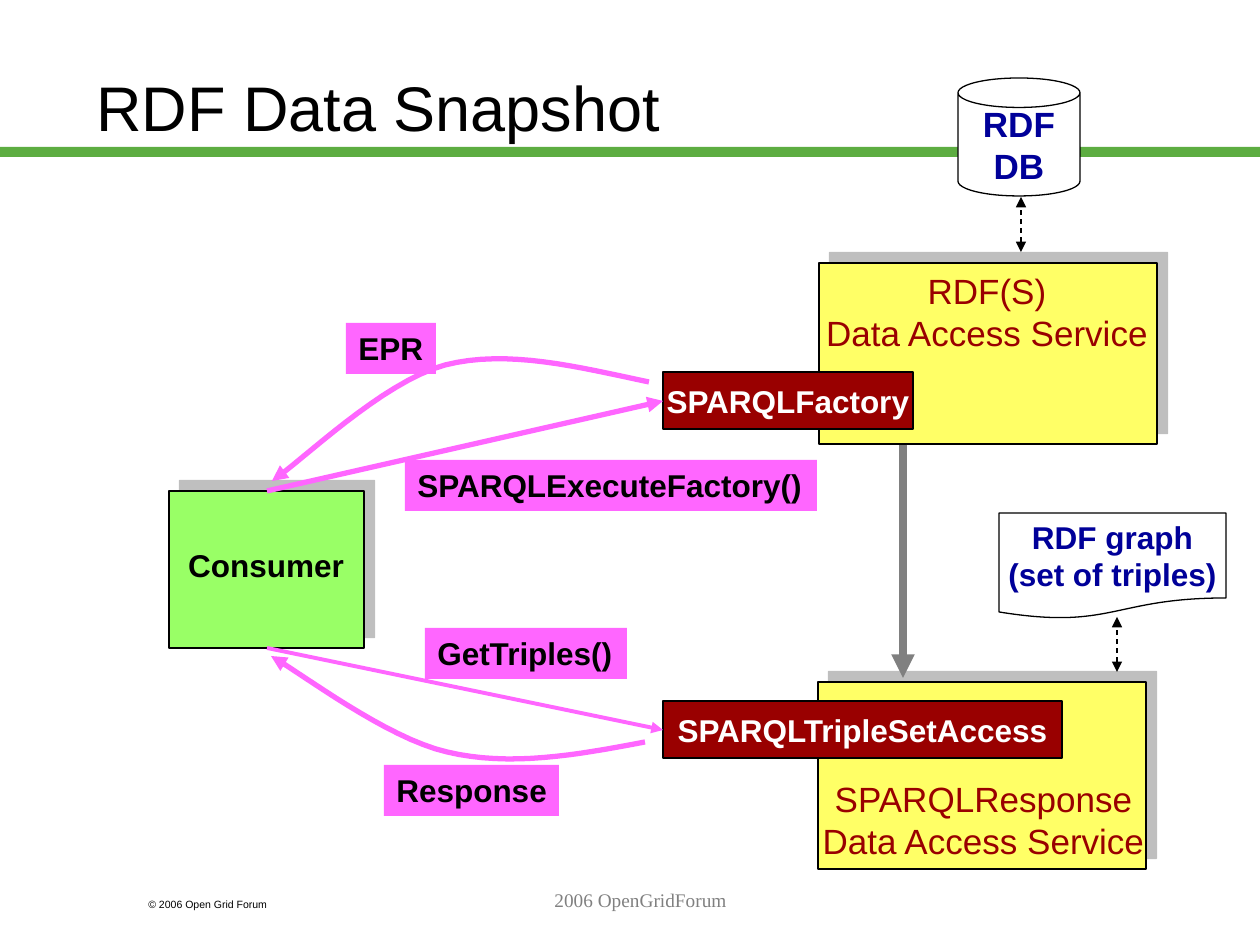
import pptx
import pptx.util
import pptx.dml.color
import pptx.enum.dml
import pptx.enum.shapes
import pptx.enum.text
import pptx.oxml
import pptx.oxml.ns

RGB = pptx.dml.color.RGBColor
KIND = pptx.enum.shapes.MSO_SHAPE
ALIGN = pptx.enum.text.PP_ALIGN
ANCHOR = pptx.enum.text.MSO_ANCHOR
DASH = pptx.enum.dml.MSO_LINE.DASH

BLACK, WHITE = RGB(0, 0, 0), RGB(255, 255, 255)
GREEN, LIME = RGB(0x5D, 0xAD, 0x41), RGB(0x99, 0xFF, 0x66)
PINK, GOLD = RGB(0xFF, 0x66, 0xFF), RGB(0xFF, 0xFF, 0x66)
RED, BLUE, GRAY = RGB(0x99, 0, 0), RGB(0, 0, 0x99), RGB(0x80, 0x80, 0x80)

PX = 914400 / 126  # EMU in one px
STEPS = 16  # straight pieces in each part of a curve

# Content: places are left, top, width, height in px
BAR = (0, 147, 1260, 10)
CARDS = [
    ((169, 491, 195, 157), LIME),
    ((819, 263, 338, 181), GOLD),
    ((818, 682, 328, 187), GOLD),
]
STORES = [
    (KIND.CAN, (958, 78, 122, 118), "RDF\nDB", 20),
    (KIND.FLOWCHART_DOCUMENT, (999, 513, 227, 106), "RDF graph\n(set of triples)", 18),
]
PORTS = [
    ((663, 372, 250, 57), "SPARQLFactory"),
    ((663, 701, 399, 57), "SPARQLTripleSetAccess"),
]
CALLS = [
    ((405, 460, 412, 51), "SPARQLExecuteFactory()"),
    ((425, 628, 202, 51), "GetTriples()"),
    ((346, 323, 90, 51), "EPR"),
    ((384, 765, 175, 51), "Response"),
]
NOTES = [
    ((84, 38, 645, 136), "RDF Data Snapshot",
     dict(size=36, align=ALIGN.LEFT, anchor=ANCHOR.MIDDLE)),
    ((174, 540, 184, 51), "Consumer", dict(size=18, bold=True)),
    ((810, 263, 354, 97), "RDF(S)\nData Access Service", dict(color=RED)),
    ((803, 771, 361, 97), "SPARQLResponse\nData Access Service", dict(color=RED)),
    ((136, 892, 189, 25), "© 2006 Open Grid Forum",
     dict(size=6, align=ALIGN.LEFT)),
    ((273, 882, 735, 63), "2006 OpenGridForum",
     dict(size=11, color=GRAY, font="Times New Roman")),
]
# Arrows: from, to, colour, width, both ends and dashed
LINES = [
    ((267, 491), (663, 401), PINK, 3, False),
    ((267, 648), (663, 730), PINK, 2.25, False),
    ((903, 445), (903, 678), GRAY, 4.5, False),
    ((1021, 252), (1021, 197), BLACK, 0.75, True),
    ((1117, 672), (1117, 617), BLACK, 0.75, True),
]
# Curves: a start, then two controls and an end for each part
CURVES = [
    [(649, 382), (578, 367), (508, 349), (445, 365),
     (382, 382), (301, 462), (272, 481)],
    [(645, 742), (577, 755), (510, 767), (447, 752),
     (386, 738), (301, 673), (271, 656)],
]

deck = pptx.Presentation()
deck.slide_width = pptx.util.Inches(10)
deck.slide_height = pptx.util.Inches(7.5)
slide = deck.slides.add_slide(deck.slide_layouts[6])
shapes = slide.shapes


def emu(spot):
    return [round(n * PX) for n in spot]


def write(shape, text, size=20, color=BLACK, bold=False, font="Arial",
          align=ALIGN.CENTER, anchor=ANCHOR.TOP, wrap=True):
    frame = shape.text_frame
    frame.word_wrap = wrap
    frame.vertical_anchor = anchor
    frame.text = text
    for para in frame.paragraphs:
        para.alignment = align
        para.font.size = pptx.util.Pt(size)
        para.font.name = font
        para.font.bold = bold
        para.font.color.rgb = color


def block(kind, spot, fill, edge=None):
    shape = shapes.add_shape(kind, *emu(spot))
    shape.shadow.inherit = False
    shape.fill.solid()
    shape.fill.fore_color.rgb = fill
    if edge is None:
        shape.line.fill.background()
    else:
        shape.line.color.rgb = edge
        shape.line.width = pptx.util.Pt(0.75)
    return shape


def add(node, tag, **attrs):
    child = pptx.oxml.ns.qn(tag)
    part = node.makeelement(child, attrs)
    node.append(part)
    return part


def cast(shape):
    """Give a card its hard shadow, up and to the right."""
    effects = shape._element.spPr.find(pptx.oxml.ns.qn("a:effectLst"))
    shade = add(effects, "a:outerShdw", dist=str(pptx.util.Pt(8.5)),
                dir="18900000", algn="ctr", rotWithShape="0")
    tone = add(shade, "a:srgbClr", val=str(GRAY))
    add(tone, "a:alpha", val="50000")


def ink(shape, color, width, both=False):
    """Style an arrow's line and put on its heads."""
    line = shape.line
    line.color.rgb = color
    line.width = pptx.util.Pt(width)
    if both:
        line.dash_style = DASH
    node = line._get_or_add_ln()
    if both:
        add(node, "a:headEnd", type="triangle")
    add(node, "a:tailEnd", type="triangle")


def trace(points):
    """Yield spots along a chain of cubic curves."""
    for i in range(0, len(points) - 1, 3):
        a, b, c, d = points[i:i + 4]
        for step in range(1, STEPS + 1):
            t = step / STEPS
            u = 1 - t
            yield tuple(
                u**3 * p + 3 * u * u * t * q + 3 * u * t * t * r + t**3 * s
                for p, q, r, s in zip(a, b, c, d))


# Title bar and cards
block(KIND.RECTANGLE, BAR, GREEN)
for spot, fill in CARDS:
    cast(block(KIND.RECTANGLE, spot, fill, BLACK))

# Data stores, service ports and call labels
for kind, spot, text, size in STORES:
    write(block(kind, spot, WHITE, BLACK), text, size=size, color=BLUE,
          bold=True, anchor=ANCHOR.MIDDLE, wrap=False)
for spot, text in PORTS:
    write(block(KIND.RECTANGLE, spot, RED, BLACK), text, size=18, color=WHITE,
          bold=True, anchor=ANCHOR.MIDDLE, wrap=False)
for spot, text in CALLS:
    write(block(KIND.RECTANGLE, spot, PINK), text, size=18, bold=True,
          align=ALIGN.LEFT, wrap=False)

# Straight arrows
for start, end, color, width, both in LINES:
    wire = shapes.add_connector(pptx.enum.shapes.MSO_CONNECTOR.STRAIGHT,
                                *emu(start + end))
    ink(wire, color, width, both)
    add(wire._element.spPr, "a:effectLst")

# Curved arrows back to the consumer
for points in CURVES:
    pen = shapes.build_freeform(*emu(points[0]), scale=1.0)
    pen.add_line_segments([emu(p) for p in trace(points)], close=False)
    curve = pen.convert_to_shape()
    curve.shadow.inherit = False
    curve.fill.background()
    ink(curve, PINK, 3)

# Plain text
for spot, text, form in NOTES:
    write(shapes.add_textbox(*emu(spot)), text, **form)

deck.save("out.pptx")
